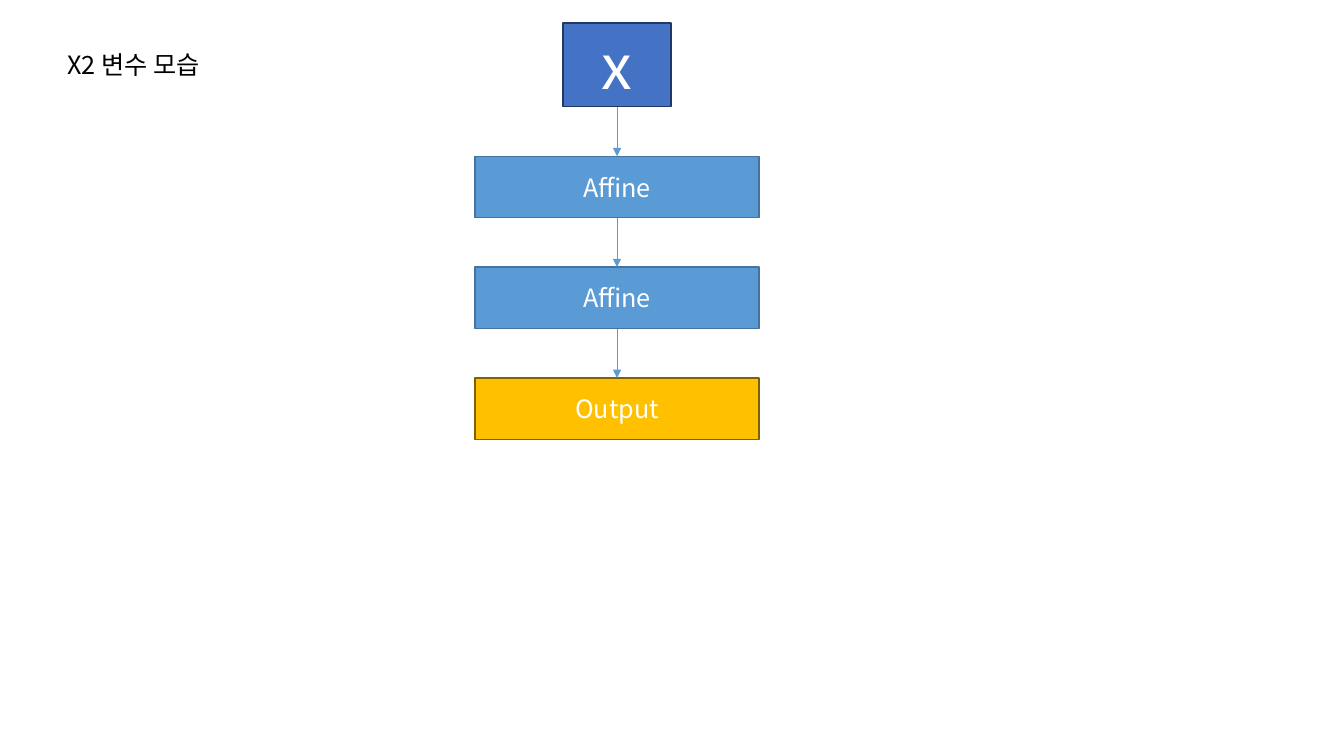
from lxml.etree import SubElement
from pptx import Presentation
from pptx.dml.color import RGBColor
from pptx.enum.shapes import MSO_CONNECTOR as Connector, MSO_SHAPE as Shape
from pptx.enum.text import MSO_ANCHOR as Anchor, MSO_AUTO_SIZE as AutoSize, PP_ALIGN as Align
from pptx.oxml.ns import qn
from pptx.util import Inches, Pt

COLORS = {
    "black": "000000", "white": "FFFFFF",
    "input": "4472C4", "input_edge": "203864",
    "layer": "5B9BD5", "layer_edge": "43739E",
    "output": "FFC000", "output_edge": "806000",
}
BOTTOM, TOP = 2, 0


class NetworkPage:
    font_name = "Noto Sans CJK KR"

    def __init__(self, page):
        self.page = page

    def color(self, name):
        return RGBColor.from_string(COLORS[name])

    def set_text(self, frame, text, size, color):
        para = frame.paragraphs[0]
        para.text = text
        font = para.font
        font.name, font.size = self.font_name, Pt(size)
        font.color.rgb = self.color(color)
        properties = para._p.find(".//" + qn("a:defRPr"))
        SubElement(properties, qn("a:ea"), typeface=self.font_name)
        return para

    def label(self, text, left, top, width, height):
        box = self.page.shapes.add_textbox(
            Inches(left), Inches(top), Inches(width), Inches(height))
        frame = box.text_frame
        frame.word_wrap = False
        frame.auto_size = AutoSize.SHAPE_TO_FIT_TEXT
        self.set_text(frame, text, 18, "black")

    def block(self, text, center, top, width, height, kind, size=18):
        box = self.page.shapes.add_shape(
            Shape.RECTANGLE, Inches(center - width / 2), Inches(top),
            Inches(width), Inches(height))
        box.shadow.inherit = False
        box.fill.solid()
        box.fill.fore_color.rgb = self.color(kind)
        box.line.color.rgb = self.color(kind + "_edge")
        box.line.width = Pt(1)
        box.text_frame.word_wrap = True
        box.text_frame.vertical_anchor = Anchor.MIDDLE
        self.set_text(box.text_frame, text, size, "white").alignment = Align.CENTER
        return box

    def arrow(self, source, target):
        """Join the bottom of one block to the top of the next."""
        arrow = self.page.shapes.add_connector(Connector.STRAIGHT, 0, 0, 0, 0)
        arrow.begin_connect(source, BOTTOM)
        arrow.end_connect(target, TOP)
        arrow.line.color.rgb = self.color("layer")
        arrow.line.width = Pt(0.5)
        properties = arrow._element.spPr
        SubElement(properties.find(qn("a:ln")), qn("a:tailEnd"), type="triangle")
        SubElement(properties, qn("a:effectLst"))


def main():
    deck = Presentation()
    deck.slide_width, deck.slide_height = Inches(13.33), Inches(7.5)
    network = NetworkPage(deck.slides.add_slide(deck.slide_layouts[6]))
    network.label("X2 변수 모습", 0.57, 0.44, 1.68, 0.4)

    center, first_top, step = 6.12, 1.55, 1.1
    blocks = [network.block("x", center, 0.23, 1.07, 0.83, "input", size=44)]
    layers = [("Affine", "layer"), ("Affine", "layer"), ("Output", "output")]
    for row, (text, kind) in enumerate(layers):
        blocks.append(network.block(
            text, center, first_top + row * step, 2.82, 0.61, kind))
    for source, target in zip(blocks, blocks[1:]):
        network.arrow(source, target)

    deck.save("out.pptx")


if __name__ == "__main__":
    main()
